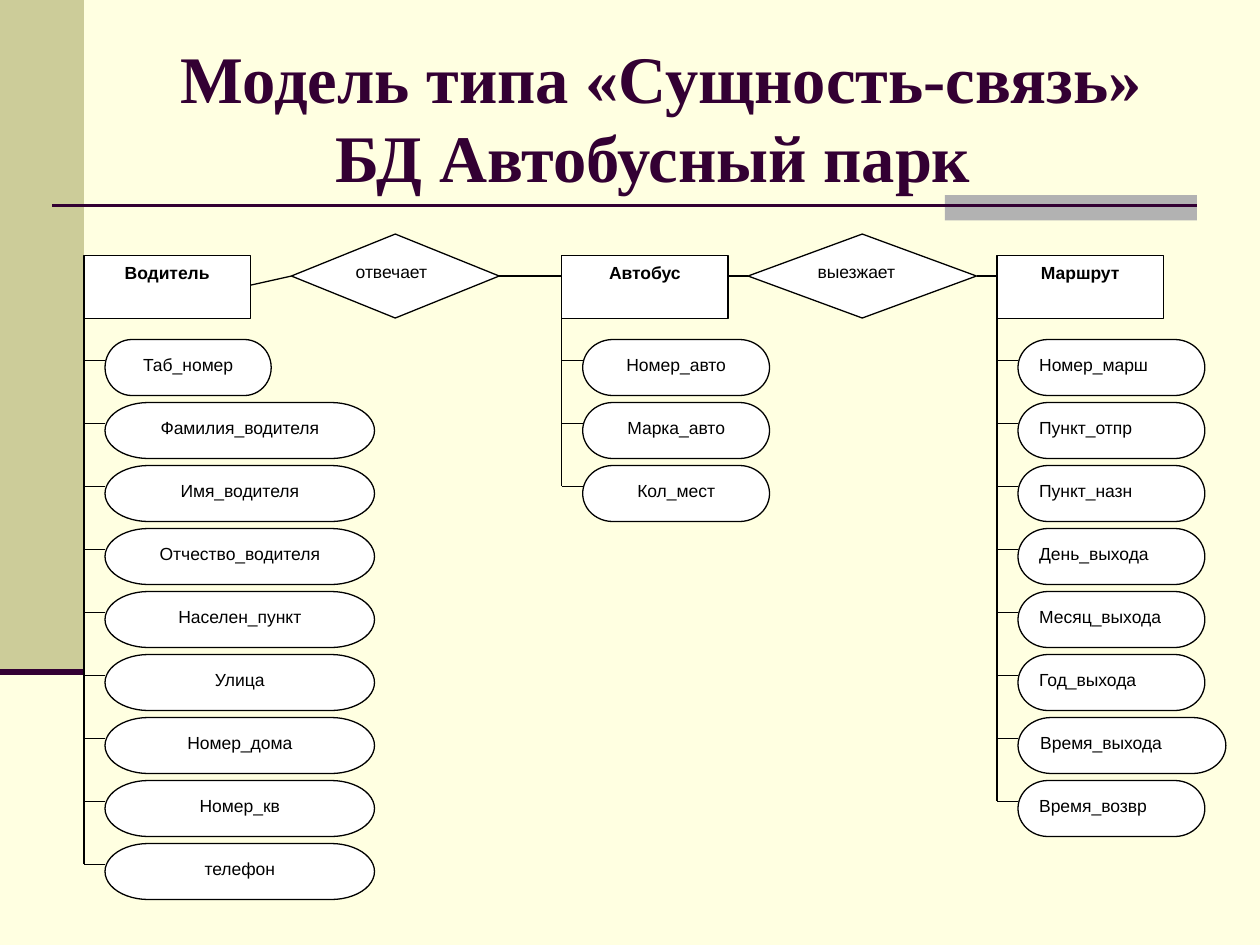
import dataclasses
import pptx
import pptx.util
import pptx.dml.color
import pptx.enum.shapes
import pptx.enum.text
import pptx.oxml.ns
import lxml.etree

Pt = pptx.util.Pt
Kind = pptx.enum.shapes.MSO_SHAPE
Align = pptx.enum.text.PP_ALIGN
Anchor = pptx.enum.text.MSO_ANCHOR


@dataclasses.dataclass(frozen=True)
class Theme:
    page: str = "FFFFE1"
    band: str = "CCCC99"
    tab: str = "B2B2B2"
    plum: str = "330033"
    ink: str = "000000"
    paper: str = "FFFFFF"
    head: str = "Times New Roman"
    body: str = "Arial"
    big: float = 38
    small: float = 10
    thin: float = 0.75


THEME = Theme()
TOP = 146
BOX_W = 95
BOX_H = 36
STEP = 36
AXIS = 157.75

TREES = [
    ("Водитель", 48, 154, Align.CENTER,
     ["Таб_номер", "Фамилия_водителя", "Имя_водителя", "Отчество_водителя",
      "Населен_пункт", "Улица", "Номер_дома", "Номер_кв", "телефон"],
     {"Таб_номер": 95}),
    ("Автобус", 321, 106.75, Align.CENTER,
     ["Номер_авто", "Марка_авто", "Кол_мест"], {}),
    ("Маршрут", 569.75, 106.75, Align.LEFT,
     ["Номер_марш", "Пункт_отпр", "Пункт_назн", "День_выхода",
      "Месяц_выхода", "Год_выхода", "Время_выхода", "Время_возвр"],
     {"Время_выхода": 118.75}),
]
LINKS = [("отвечает", 166.5, 118.75), ("выезжает", 427.5, 130.5)]
JOINTS = [
    (143, 163, 166.5, AXIS),
    (285.25, AXIS, 321, AXIS),
    (415.75, AXIS, 427.5, AXIS),
    (558, AXIS, 569.75, AXIS),
]


def tint(code):
    return pptx.dml.color.RGBColor.from_string(code)


def write(shape, text, font, size, color, bold, align, anchor):
    frame = shape.text_frame
    frame.word_wrap = True
    frame.vertical_anchor = anchor
    para = frame.paragraphs[0]
    para.text = text
    para.alignment = align
    for run in para.runs:
        run.font.name = font
        run.font.size = Pt(size)
        run.font.bold = bold
        run.font.color.rgb = tint(color)


def block(slide, kind, left, top, width, height, fill, edge=None):
    shape = slide.shapes.add_shape(kind, Pt(left), Pt(top), Pt(width), Pt(height))
    shape.shadow.inherit = False
    shape.fill.solid()
    shape.fill.fore_color.rgb = tint(fill)
    if edge:
        shape.line.color.rgb = tint(edge)
        shape.line.width = Pt(THEME.thin)
    else:
        shape.line.fill.background()
    return shape


def node(slide, kind, left, top, width, height, text, align, bold=False):
    shape = block(slide, kind, left, top, width, height, THEME.paper, THEME.ink)
    write(shape, text, THEME.body, THEME.small, THEME.ink, bold, align, Anchor.TOP)


def rule(slide, x1, y1, x2, y2, color=THEME.ink, width=THEME.thin):
    line = slide.shapes.add_connector(
        pptx.enum.shapes.MSO_CONNECTOR.STRAIGHT, Pt(x1), Pt(y1), Pt(x2), Pt(y2))
    line.line.color.rgb = tint(color)
    line.line.width = Pt(width)
    props = line._element.spPr
    lxml.etree.SubElement(props, pptx.oxml.ns.qn("a:effectLst"))


def decor(slide):
    block(slide, Kind.RECTANGLE, 0, 0, 48, 384, THEME.band)
    block(slide, Kind.RECTANGLE, 540, 111.5, 144, 14.5, THEME.tab)
    rule(slide, 30, 117.5, 684, 117.5, THEME.plum, 1.5)
    rule(slide, 0, 384, 48, 384, THEME.plum, 3.5)


def title(slide):
    box = slide.shapes.add_textbox(Pt(72), Pt(21.5), Pt(612), Pt(90))
    write(box, "Модель типа «Сущность-связь»\vБД Автобусный парк ",
          THEME.head, THEME.big, THEME.plum, True, Align.CENTER, Anchor.MIDDLE)


def tree(slide, name, left, width, align, fields, sizes):
    node(slide, Kind.RECTANGLE, left, TOP, BOX_W, BOX_H, name, Align.CENTER, True)
    first = TOP + 60
    last = first + STEP * (len(fields) - 1)
    rule(slide, left, TOP + BOX_H, left, last)
    for i, field in enumerate(fields):
        mid = first + STEP * i
        node(slide, Kind.FLOWCHART_TERMINATOR, left + 12, mid - 12,
             sizes.get(field, width), 32, field, align)
        rule(slide, left, mid, left + 12, mid)


def main():
    deck = pptx.Presentation()
    deck.slide_width, deck.slide_height = Pt(720), Pt(540)
    slide = deck.slides.add_slide(deck.slide_layouts[6])
    slide.background.fill.solid()
    slide.background.fill.fore_color.rgb = tint(THEME.page)
    decor(slide)
    title(slide)
    for spec in TREES:
        tree(slide, *spec)
    for text, left, width in LINKS:
        node(slide, Kind.FLOWCHART_DECISION, left, AXIS - 24, width, 48, text, Align.LEFT)
    for ends in JOINTS:
        rule(slide, *ends)
    deck.save("out.pptx")


if __name__ == "__main__":
    main()
